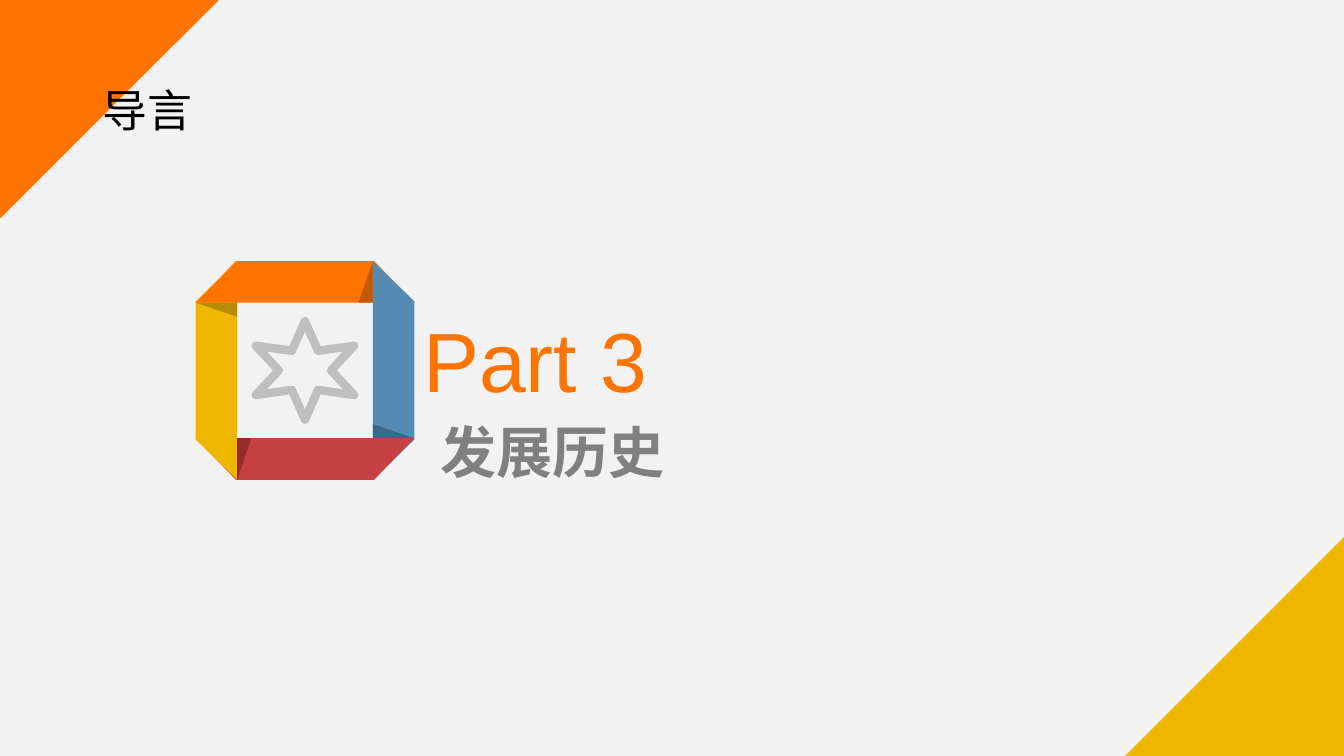
from dataclasses import dataclass

from pptx import Presentation
from pptx.dml.color import RGBColor
from pptx.enum.shapes import MSO_SHAPE as Preset
from pptx.enum.text import MSO_ANCHOR as Anchor, MSO_AUTO_SIZE as AutoSize, PP_ALIGN as Align
from pptx.util import Inches, Pt


@dataclass(frozen=True)
class Theme:
    background: str = "F2F2F2"
    orange: str = "FF7300"
    yellow: str = "EFB600"
    black: str = "000000"
    grey: str = "808080"
    star: str = "BFBFBF"
    # Band and fold colours, clockwise from the top
    bands: tuple = ("FF7300", "558AB5", "C64242", "EFB600")
    folds: tuple = ("C45900", "3C6688", "942C2C", "B88C00")
    title_font: str = "Montserrat"
    body_font: str = "Arial"
    title_size: int = 32
    part_size: int = 60
    topic_size: int = 40


THEME = Theme()
WIDTH, HEIGHT = 13.33, 7.5
CORNER = 2.17
DIRECTIONS = ((0, -1), (1, 0), (0, 1), (-1, 0))


def color(value):
    return RGBColor.from_string(value)


def write_text(frame, text, size, font, fill, bold=False, spacing=None):
    paragraph = frame.paragraphs[0]
    paragraph.alignment = Align.LEFT
    paragraph.line_spacing = spacing
    run = paragraph.add_run()
    run.text = text
    run.font.size = Pt(size)
    run.font.name = font
    run.font.bold = bold
    run.font.color.rgb = color(fill)


def add_preset(shapes, preset, center, size, fill=None, rotation=0, mirrored=False):
    """Place a preset shape around its centre."""
    left, top = (middle - length / 2 for middle, length in zip(center, size))
    shape = shapes.add_shape(preset, Inches(left), Inches(top), *map(Inches, size))
    shape.shadow.inherit = False
    shape.rotation = rotation
    if mirrored:
        shape._element.spPr.xfrm.set("flipH", "1")
    if fill:
        shape.fill.solid()
        shape.fill.fore_color.rgb = color(fill)
        shape.line.fill.background()
    else:
        shape.fill.background()
    return shape


def add_corners(slide):
    """Coloured triangles in two opposite slide corners."""
    half = CORNER / 2
    add_preset(slide.shapes, Preset.RIGHT_TRIANGLE, (half, half),
               (CORNER, CORNER), THEME.orange, rotation=90)
    add_preset(slide.shapes, Preset.RIGHT_TRIANGLE, (WIDTH - half, HEIGHT - half),
               (CORNER, CORNER), THEME.yellow, rotation=270)


def add_title(slide, text, left, top, width, height):
    title = slide.shapes.title
    title.left, title.top, title.width, title.height = map(Inches, (left, top, width, height))
    title.text_frame.vertical_anchor = Anchor.MIDDLE
    title.text_frame.auto_size = AutoSize.NONE
    write_text(title.text_frame, text, THEME.title_size, THEME.title_font, THEME.black, spacing=0.9)


def add_folded_ring(slide, left, top, side):
    """Folded ribbon ring with a star, inside a square box."""
    shapes = slide.shapes.add_group_shape().shapes
    center_x, center_y = left + side / 2, top + side / 2
    band, fold = side * 0.19, side * 0.065
    reach = (side - band) / 2
    shift = side / 2 - band - fold / 2

    # Four bands
    for turn, (x, y) in enumerate(DIRECTIONS):
        center = (center_x + reach * x, center_y + reach * y)
        shape = add_preset(shapes, Preset.TRAPEZOID, center, (side, band),
                           THEME.bands[turn], rotation=90 * turn)
        shape.adjustments[0] = 0.97

    # Top band continues over the left one
    add_preset(shapes, Preset.RIGHT_TRIANGLE, (center_x - reach, center_y - reach),
               (band, band), THEME.orange, rotation=270)

    # Fold shadows at the clockwise end of each band
    for turn, (x, y) in enumerate(DIRECTIONS):
        center = (center_x + reach * x - shift * y, center_y + reach * y + shift * x)
        add_preset(shapes, Preset.RIGHT_TRIANGLE, center, (fold, band),
                   THEME.folds[turn], rotation=90 * turn, mirrored=True)

    # Star outline
    star = add_preset(shapes, Preset.STAR_6_POINT, (center_x, center_y), (side * 0.45, side * 0.45))
    star.adjustments[0] = 0.23
    star.line.color.rgb = color(THEME.star)
    star.line.width = Pt(6)


def add_label(slide, text, left, top, width, height, **text_format):
    box = slide.shapes.add_textbox(*map(Inches, (left, top, width, height)))
    box.text_frame.word_wrap = False
    box.text_frame.auto_size = AutoSize.SHAPE_TO_FIT_TEXT
    write_text(box.text_frame, text, font=THEME.body_font, **text_format)


def add_section_heading(slide, left, top, side):
    """Ring on the left, part number and topic to its right."""
    add_folded_ring(slide, left, top, side)
    label_left = left + side
    add_label(slide, "Part 3", label_left - 0.01, top + 0.42, 2.45, 1.11,
              size=THEME.part_size, fill=THEME.orange)
    add_label(slide, "发展历史", label_left + 0.16, top + 1.5, 2.45, 0.77,
              size=THEME.topic_size, fill=THEME.grey, bold=True)


def main():
    presentation = Presentation()
    presentation.slide_width, presentation.slide_height = Inches(WIDTH), Inches(HEIGHT)
    slide = presentation.slides.add_slide(presentation.slide_layouts[5])
    slide.background.fill.solid()
    slide.background.fill.fore_color.rgb = color(THEME.background)

    add_corners(slide)
    # Bring the title in front of the corner triangles
    slide.shapes._spTree.append(slide.shapes.title._element)
    add_title(slide, "导言", 0.92, 0.4, 11.5, 1.45)
    add_section_heading(slide, 1.94, 2.59, 2.17)
    presentation.save("out.pptx")


if __name__ == "__main__":
    main()
